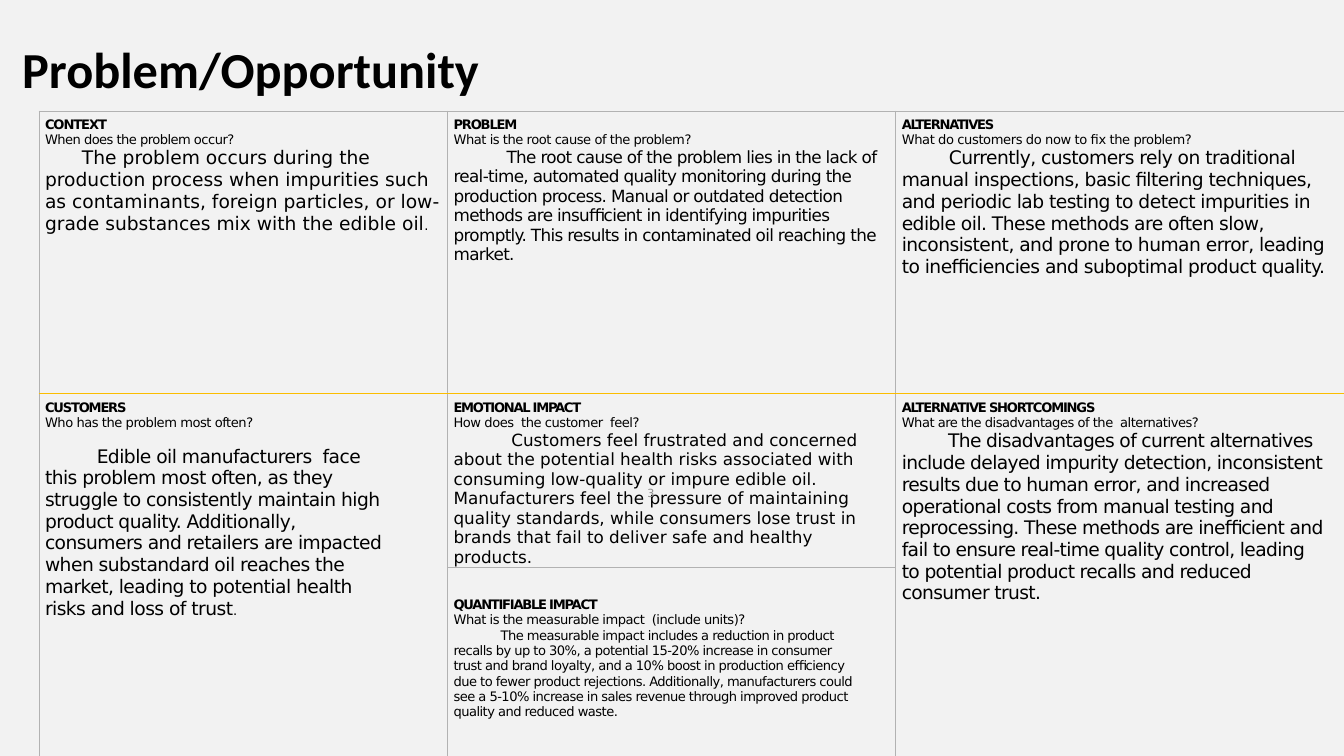
from lxml.etree import SubElement
from pptx import Presentation
from pptx.dml.color import RGBColor
from pptx.enum.text import MSO_ANCHOR as Anchor, PP_ALIGN as Align
from pptx.oxml.ns import qn
from pptx.util import Inches, Pt

FACE = "DejaVu Sans"
INK, GREY, GOLD = "000000", "B2B2B2", "FBBD00"


def colour(hex_code):
    return RGBColor.from_string(hex_code)


def style(run, size, tracking=0, bold=False, face=FACE, ink=INK):
    run.font.size = Pt(size)
    run.font.bold = bold
    run.font.name = face
    run.font.color.rgb = colour(ink)
    run._r.get_or_add_rPr().set("spc", str(round(tracking * 100)))


deck = Presentation()
deck.slide_width, deck.slide_height = Inches(20), Inches(11.25)
slide = deck.slides.add_slide(deck.slide_layouts[5])
slide.background.fill.solid()
slide.background.fill.fore_color.rgb = colour("F2F2F2")

heading = slide.shapes.title
heading.left, heading.top = Inches(0.33), Inches(0.28)
heading.width, heading.height = Inches(16.74), Inches(1.14)
heading_frame = heading.text_frame
heading_frame.text = "Problem/Opportunity"
heading_frame.vertical_anchor = Anchor.MIDDLE
heading_frame.margin_left = heading_frame.margin_right = heading_frame.margin_bottom = 0
heading_frame.margin_top = Inches(0.01)
heading_line = heading_frame.paragraphs[0]
heading_line.alignment = Align.LEFT
heading_line.line_spacing = Pt(87.5)
heading_line.space_before = Pt(1)
style(heading_line.runs[0], 54, bold=True, face="Calibri")

columns, rows = [6.08, 6.67, 6.67], [4.21, 1.32, 3.4]
canvas = slide.shapes.add_table(
    len(rows), len(columns), Inches(0.58), Inches(1.65),
    Inches(sum(columns)), Inches(sum(rows))).table
canvas.first_row = canvas.horz_banding = False
for column, width in zip(canvas.columns, columns):
    column.width = Inches(width)
for row, height in zip(canvas.rows, rows):
    row.height = Inches(height)
for side_column in (0, 2):
    canvas.cell(1, side_column).merge(canvas.cell(2, side_column))

# row, column, topic, tracking, question, tracking, answer, size, tracking,
# first-line indent, right margin, gap above the answer, small full stop
topics = [
    (0, 0, "CONTEXT", -1.2, "When does the problem occur?", -0.6,
     "The problem occurs during the production process when impurities such as contaminants, foreign particles, or low-grade substances mix with the edible oil",
     20, 0, 0.55, 0, 0, "."),
    (0, 1, "PROBLEM", -1.3, "What is the root cause of the problem?", -0.5,
     "The root cause of the problem lies in the lack of real-time, automated quality monitoring during the production process. Manual or outdated detection methods are insufficient in identifying impurities promptly. This results in contaminated oil reaching the market.",
     18, -0.7, 0.79, 0, 0, ""),
    (0, 2, "ALTERNATIVES", -1.4, "What do customers do now to ﬁx the problem?", -0.45,
     "Currently, customers rely on traditional manual inspections, basic filtering techniques, and periodic lab testing to detect impurities in edible oil. These methods are often slow, inconsistent, and prone to human error, leading to inefficiencies and suboptimal product quality.",
     20, -0.6, 0.7, 0, 0, ""),
    (1, 0, "CUSTOMERS", -1.3, "Who has the problem most often?", -0.5,
     "Edible oil manufacturers  face this problem most often, as they struggle to consistently maintain high product quality. Additionally, consumers and retailers are impacted when substandard oil reaches the market, leading to potential health risks and loss of trust",
     20, -0.6, 0.77, 0.8, 16.3, "."),
    (1, 1, "EMOTIONAL IMPACT", -1.4, "How does  the customer  feel?", -0.5,
     "Customers feel frustrated and concerned about the potential health risks associated with consuming low-quality or impure edible oil. Manufacturers feel the pressure of maintaining quality standards, while consumers lose trust in brands that fail to deliver safe and healthy products.",
     18, 0, 0.86, 0, 0, ""),
    (1, 2, "ALTERNATIVE SHORTCOMINGS", -1.3,
     "What are the disadvantages of the  alternatives?", -0.55,
     "The disadvantages of current alternatives include delayed impurity detection, inconsistent results due to human error, and increased operational costs from manual testing and reprocessing. These methods are inefficient and fail to ensure real-time quality control, leading to potential product recalls and reduced consumer trust.",
     20, -0.7, 0.69, 0.26, 0, ""),
    (2, 1, "QUANTIFIABLE IMPACT", -1.35,
     "What is the measurable impact  (include units)?", -0.55,
     "The measurable impact includes a reduction in product recalls by up to 30%, a potential 15-20% increase in consumer trust and brand loyalty, and a 10% boost in production efficiency due to fewer product rejections. Additionally, manufacturers could see a 5-10% increase in sales revenue through improved product quality and reduced waste.",
     14, -0.6, 0.7, 0.5, 0, ""),
]

for (row, column, topic, topic_tracking, question, question_tracking, answer,
     size, tracking, indent, right, gap, stop) in topics:
    cell = canvas.cell(row, column)
    cell.fill.background()
    cell.margin_left, cell.margin_right = Inches(0.09), Inches(right)
    cell.margin_top, cell.margin_bottom = Inches(0.45 if row == 2 else 0.09), 0
    cell.text_frame.text = "\n".join([topic, question, answer])
    topic_line, question_line, answer_line = cell.text_frame.paragraphs
    style(topic_line.runs[0], 14, topic_tracking, bold=True)
    style(question_line.runs[0], 14, question_tracking)
    style(answer_line.runs[0], size, tracking)
    answer_line.space_before = Pt(gap)
    answer_line._p.get_or_add_pPr().set("indent", str(Inches(indent)))
    if stop:
        full_stop = answer_line.add_run()
        full_stop.text = stop
        style(full_stop, 14, tracking)

    properties = cell._tc.get_or_add_tcPr()
    for place, side in enumerate("LRTB"):
        middle_rule = (row, side) in [(0, "B"), (1, "T")]
        border = SubElement(properties, qn(f"a:ln{side}"), w=str(Pt(0.75)))
        paint = SubElement(border, qn("a:solidFill"))
        SubElement(paint, qn("a:srgbClr"), val=GOLD if middle_rule else GREY)
        properties.insert(place, border)

page = slide.shapes.add_textbox(Inches(7.35), Inches(7.22), Inches(2.39), Inches(0.22))
page_frame = page.text_frame
page_frame.word_wrap = True
page_frame.vertical_anchor = Anchor.MIDDLE
page_frame.margin_left = page_frame.margin_right = page_frame.margin_bottom = 0
page_frame.margin_top = Inches(0.02)
page_frame.text = "3"
page_frame.paragraphs[0].alignment = Align.RIGHT
style(page_frame.paragraphs[0].runs[0], 12, ink="8C8C8C")

deck.save("out.pptx")
